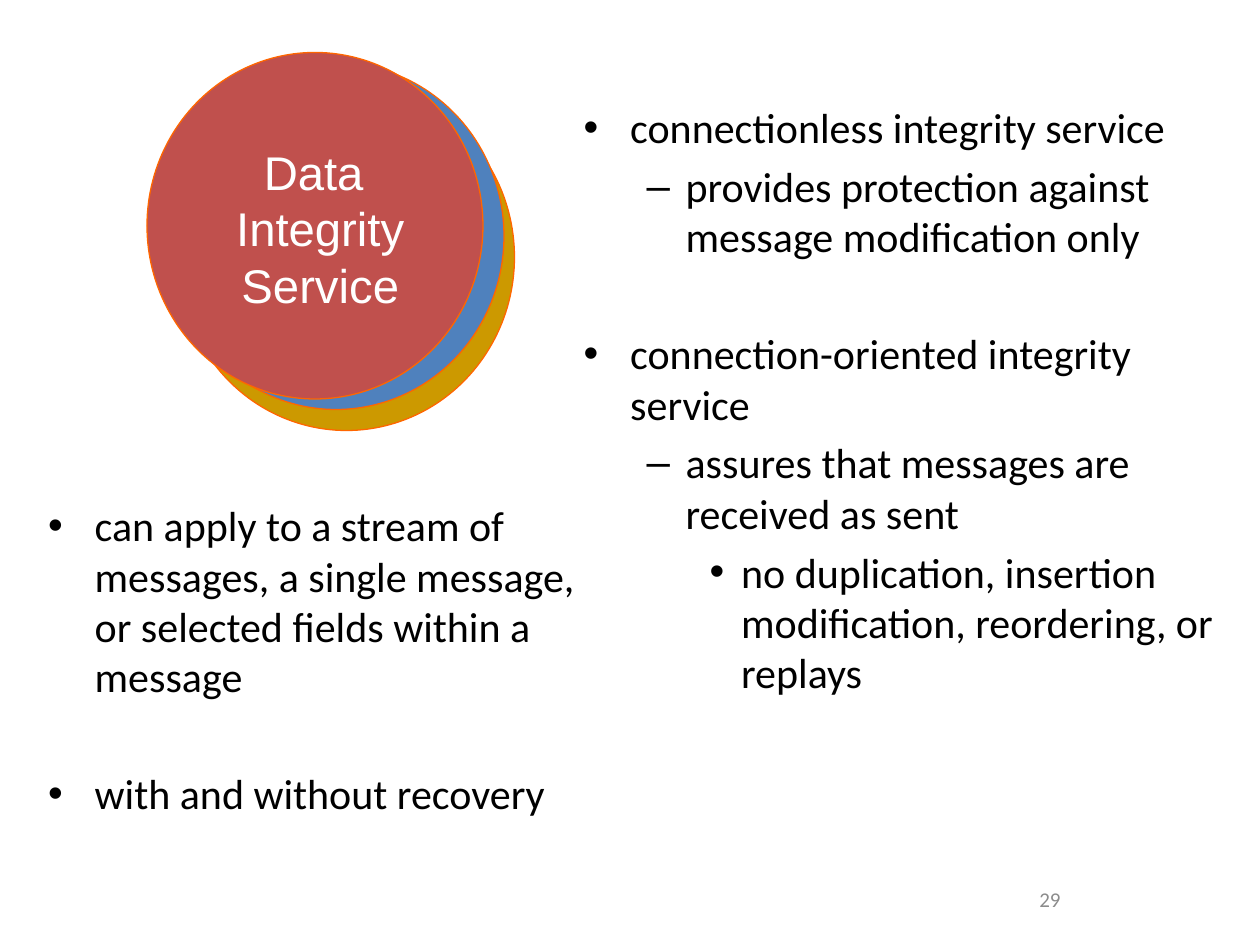
from lxml import etree
from pptx import Presentation, util as u
from pptx.dml.color import RGBColor
from pptx.enum import shapes, text
from pptx.oxml.ns import qn

COLOURS = {"gold": "CC9900", "blue": "4F81BD", "red": "C0504D", "rim": "FF6600",
           "body": "000000", "title": "FFFFFF", "number": "8C8C8C"}
# level: (bullet, left indent, hanging indent), in inches
LEVELS = {0: ("•", 0.37, 0.37), 1: ("–", 0.81, 0.31), 2: ("•", 1.25, 0.25)}
SPACE, GROUP_SPACE = 4.8, 38
COLUMNS, ROWS = 120, 90


class SlideBuilder:
    """Holds the style and the current page; places are in grid columns and rows."""

    def __init__(self, deck):
        self.column = deck.slide_width / COLUMNS
        self.row = deck.slide_height / ROWS
        self.page = deck.slides.add_slide(deck.slide_layouts[5])

    def place(self, left, top, width, height):
        return [round(n * unit) for n, unit in
                zip((left, top, width, height), (self.column, self.row) * 2)]

    def style(self, para, size, name, colour, **formats):
        for key, value in formats.items():
            setattr(para, key, value)
        for key, value in {"size": u.Pt(size), "name": name, "bold": False}.items():
            setattr(para.font, key, value)
        para.font.color.rgb = RGBColor.from_string(COLOURS[colour])

    def frame(self, box, anchor=text.MSO_ANCHOR.TOP):
        formats = {"word_wrap": True, "auto_size": text.MSO_AUTO_SIZE.NONE,
                   "vertical_anchor": anchor}
        for key, value in formats.items():
            setattr(box.text_frame, key, value)
        return box.text_frame

    def circle(self, left, top, colour):
        disc = self.page.shapes.add_shape(
            shapes.MSO_SHAPE.OVAL, *self.place(left, top, 32, 33))
        disc.shadow.inherit = False
        disc.fill.solid()
        disc.fill.fore_color.rgb = RGBColor.from_string(COLOURS[colour])
        disc.line.color.rgb = RGBColor.from_string(COLOURS["rim"])
        disc.line.width = u.Pt(0.75)

    def title(self, place, lines):
        """Set the title and bring it in front of the circles."""
        box = self.page.shapes.title
        for key, value in zip(("left", "top", "width", "height"), self.place(*place)):
            setattr(box, key, value)
        frame = self.frame(box)
        frame.text = "\n".join(lines)
        for para in frame.paragraphs:
            self.style(para, 27, "Arial", "title", alignment=text.PP_ALIGN.CENTER)
        self.page.shapes._spTree.append(box._element)

    def bullets(self, place, groups):
        """Each group is a list of (level, wording), set apart by a wider gap."""
        frame = self.frame(self.page.shapes.add_textbox(*self.place(*place)))
        items = [(level, words, GROUP_SPACE if i == 0 else SPACE)
                 for group in groups for i, (level, words) in enumerate(group)]
        frame.text = "\n".join(words for _, words, _ in items)
        for i, (para, (level, _, space)) in enumerate(zip(frame.paragraphs, items)):
            mark, left, hanging = LEVELS[level]
            props = para._p.get_or_add_pPr()
            props.set("marL", str(u.Inches(left)))
            props.set("indent", str(-u.Inches(hanging)))
            etree.SubElement(props, qn("a:buFont"), typeface="Arial")
            etree.SubElement(props, qn("a:buChar"), char=mark)
            self.style(para, 24, "Calibri", "body", level=level,
                       space_before=u.Pt(space if i else 0))

    def number(self, place, words):
        frame = self.frame(self.page.shapes.add_textbox(*self.place(*place)),
                           text.MSO_ANCHOR.MIDDLE)
        frame.text = words
        self.style(frame.paragraphs[0], 12, "Calibri", "number",
                   alignment=text.PP_ALIGN.CENTER)


def main():
    deck = Presentation()
    deck.slide_width, deck.slide_height = u.Inches(10), u.Inches(7.5)
    slide = SlideBuilder(deck)
    slide.circle(17, 8, "gold")
    slide.bullets((3.4, 47, 55, 40), [
        [(0, "can apply to a stream of messages, a single message, "
             "or selected fields within a message")],
        [(0, "with and without recovery")],
    ])
    slide.bullets((54.4, 9.1, 64.2, 65.3), [
        [(0, "connectionless integrity service"),
         (1, "provides protection against message modification only")],
        [(0, "connection-oriented integrity service"),
         (1, "assures that messages are received as sent"),
         (2, "no duplication, insertion modification, reordering, or replays")],
    ])
    slide.circle(16, 6, "blue")
    slide.circle(14, 5, "red")
    slide.title((15, 13, 31, 17.5), ["Data ", "Integrity", "Service"])
    slide.number((86, 83.2, 28, 4.8), "29")
    deck.save("out.pptx")


if __name__ == "__main__":
    main()
